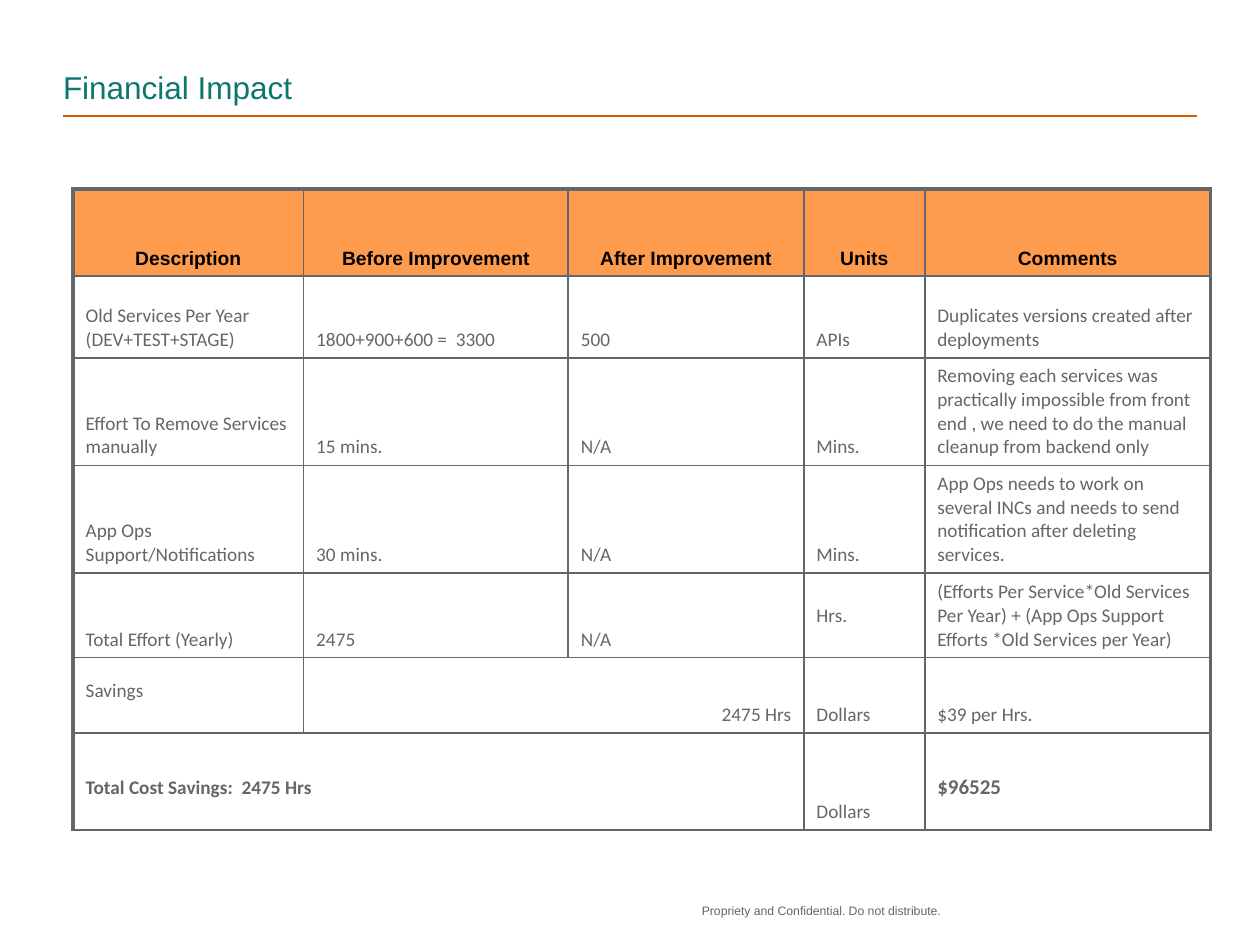
"""Build the Financial Impact slide with its savings table."""
from lxml import etree
from pptx import Presentation
from pptx.dml.color import RGBColor
from pptx.enum.shapes import MSO_CONNECTOR
from pptx.enum.text import MSO_ANCHOR, MSO_AUTO_SIZE, PP_ALIGN
from pptx.oxml.ns import qn
from pptx.util import Inches, Pt

STRAIGHT = MSO_CONNECTOR.STRAIGHT
BOTTOM = MSO_ANCHOR.BOTTOM
NO_FIT = MSO_AUTO_SIZE.NONE
LEFT, CENTER, RIGHT = PP_ALIGN.LEFT, PP_ALIGN.CENTER, PP_ALIGN.RIGHT

WIDTH, HEIGHT, MARGIN = 10, 7.5, 0.5
GRAY, TEAL, RUST, ORANGE, BLACK = "63666A", "0D776E", "D45D00", "FF9B4C", "000000"

TITLE = "Financial Impact"
FOOTER = "Propriety and Confidential. Do not distribute."
ROWS = [
    ("Description", "Before Improvement", "After Improvement", "Units", "Comments"),
    ("Old Services Per Year\n(DEV+TEST+STAGE)", "1800+900+600 =  3300", "500", "APIs",
     "Duplicates versions created after deployments"),
    ("Effort To Remove Services manually", "15 mins.", "N/A", "Mins.",
     "Removing each services was practically impossible from front end , "
     "we need to do the manual cleanup from backend only"),
    ("App Ops Support/Notifications", "30 mins.", "N/A", "Mins.",
     "App Ops needs to work on several INCs and needs to send notification "
     "after deleting services."),
    ("Total Effort (Yearly)", "2475", "N/A", "Hrs.",
     "(Efforts Per Service*Old Services Per Year) + "
     "(App Ops Support Efforts *Old Services per Year)"),
    ("Savings", "2475 Hrs", None, "Dollars", "$39 per Hrs."),
    ("Total Cost Savings:  2475 Hrs", None, None, "Dollars", "$96525"),
]
COLUMN_WIDTHS = [1.83, 2.1, 1.87, 0.96, 2.27]
ROW_HEIGHTS = [0.69, 0.65, 0.85, 0.85, 0.67, 0.6, 0.77]
RAISED_CELLS = {(4, 3), (5, 0), (6, 0), (6, 4)}
CELL_STYLES = {
    (5, 1): {"align": RIGHT},
    (6, 0): {"bold": True},
    (6, 4): {"bold": True, "size": 12},
}
HEADER_STYLE = {"font": "Arial", "color": BLACK, "bold": True, "align": CENTER}


def rgb(value):
    return RGBColor.from_string(value)


def write(frame, text, size=11, font="Calibri", color=GRAY, bold=False, align=LEFT):
    for index, line in enumerate(text.split("\n")):
        paragraph = frame.add_paragraph() if index else frame.paragraphs[0]
        paragraph.alignment = align
        run = paragraph.add_run()
        run.text = line
        run.font.size = Pt(size)
        run.font.name = font
        run.font.bold = bold
        run.font.color.rgb = rgb(color)


def clear_insets(frame):
    frame.margin_left = frame.margin_right = frame.margin_top = frame.margin_bottom = 0
    frame.auto_size = NO_FIT


def set_borders(cell, widths):
    properties = cell._tc.get_or_add_tcPr()
    for index, (side, width) in enumerate(widths.items()):
        line = etree.Element(qn(f"a:ln{side}"), w=str(Pt(width)))
        fill = etree.SubElement(line, qn("a:solidFill"))
        etree.SubElement(fill, qn("a:srgbClr"), val=GRAY)
        properties.insert(index, line)


def add_title(slide):
    title = slide.shapes.title
    title.left, title.top = Inches(MARGIN), Inches(0.17)
    title.width, title.height = Inches(WIDTH - 2 * MARGIN), Inches(0.67)
    clear_insets(title.text_frame)
    title.text_frame.vertical_anchor = BOTTOM
    write(title.text_frame, TITLE, 18, "Arial", TEAL)
    rule = slide.shapes.add_connector(
        STRAIGHT, Inches(MARGIN), Inches(0.92), Inches(WIDTH - MARGIN), Inches(0.92))
    rule.line.color.rgb = rgb(RUST)
    rule.line.width = Pt(1)
    etree.SubElement(rule._element.spPr, qn("a:effectLst"))


def add_savings_table(slide):
    last = len(COLUMN_WIDTHS) - 1
    table = slide.shapes.add_table(
        len(ROWS), len(COLUMN_WIDTHS), Inches(0.58), Inches(1.5),
        Inches(sum(COLUMN_WIDTHS)), Inches(sum(ROW_HEIGHTS))).table
    table.first_row = table.horz_banding = False
    for column, width in zip(table.columns, COLUMN_WIDTHS):
        column.width = Inches(width)
    for row, height in zip(table.rows, ROW_HEIGHTS):
        row.height = Inches(height)
    for r, texts in enumerate(ROWS):
        for c, text in enumerate(texts):
            cell = table.cell(r, c)
            cell.vertical_anchor = BOTTOM
            cell.margin_bottom = Inches(0.24 if (r, c) in RAISED_CELLS else 0.05)
            if r == 0:
                cell.fill.solid()
                cell.fill.fore_color.rgb = rgb(ORANGE)
            else:
                cell.fill.background()
            set_borders(cell, {"L": 2.25 if c == 0 else 1, "R": 2.25 if c == last else 1,
                               "T": 2.25 if r == 0 else 1, "B": 1})
            if text:
                style = HEADER_STYLE if r == 0 else CELL_STYLES.get((r, c), {})
                write(cell.text_frame, text, **style)
            if r == 0:
                cell.text_frame.paragraphs[0].line_spacing = 0.95
                cell.text_frame.paragraphs[0].space_after = Pt(4)
    table.cell(5, 1).merge(table.cell(5, 2))
    table.cell(6, 0).merge(table.cell(6, 2))


def add_footer(slide):
    footer = slide.shapes.add_textbox(Inches(5.57), Inches(7.17), Inches(2.08), Inches(0.25))
    clear_insets(footer.text_frame)
    footer.text_frame.word_wrap = False
    write(footer.text_frame, FOOTER, 7, "Arial")


def main():
    presentation = Presentation()
    presentation.slide_width, presentation.slide_height = Inches(WIDTH), Inches(HEIGHT)
    slide = presentation.slides.add_slide(presentation.slide_layouts[5])
    add_title(slide)
    add_savings_table(slide)
    add_footer(slide)
    presentation.save("out.pptx")


if __name__ == "__main__":
    main()
